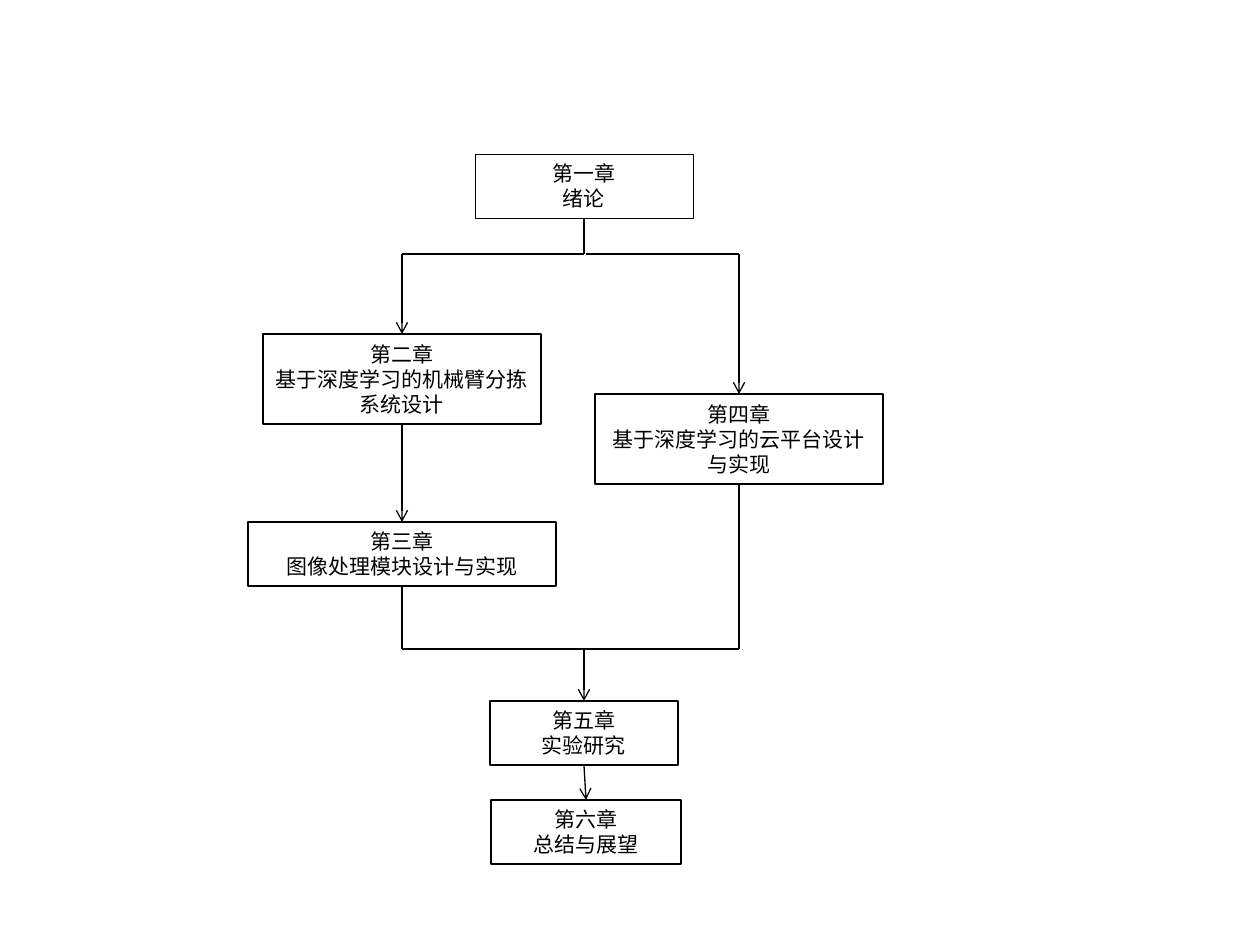
from lxml.etree import SubElement
from pptx import Presentation
from pptx.dml.color import RGBColor
from pptx.enum.shapes import MSO_CONNECTOR, MSO_SHAPE
from pptx.enum.text import MSO_ANCHOR, MSO_AUTO_SIZE, PP_ALIGN
from pptx.oxml.ns import qn
from pptx.util import Pt

EMU_PER_PX = 914400 / 126
BLACK = "000000"
LEFT, MIDDLE, RIGHT = 402, 584, 739  # centres of the columns
SPLIT, MERGE = 254, 649  # heights of the horizontal lines
LINE_HEIGHT, PADDING = 26, 12

# name: (heading, title, centre, top, width, text lines, border in points)
CHAPTERS = {
    "intro": ("第一章", "绪论", MIDDLE, 154, 218, 2, 0.25),
    "sorting": ("第二章", "基于深度学习的机械臂分拣系统设计", LEFT, 334, 278, 3, 0.75),
    "imaging": ("第三章", "图像处理模块设计与实现", LEFT, 522, 308, 2, 0.75),
    "cloud": ("第四章", "基于深度学习的云平台设计与实现", RIGHT, 394, 288, 3, 0.75),
    "experiment": ("第五章", "实验研究", MIDDLE, 701, 188, 2, 0.75),
    "summary": ("第六章", "总结与展望", MIDDLE + 2, 800, 190, 2, 0.75),
}


def px(value):
    return round(value * EMU_PER_PX)


def color(hex_value):
    return RGBColor.from_string(hex_value)


def top(name):
    return CHAPTERS[name][2], CHAPTERS[name][3]


def box_height(name):
    return CHAPTERS[name][5] * LINE_HEIGHT + PADDING


def bottom(name):
    center, box_top = top(name)
    return center, box_top + box_height(name)


def write(paragraph, text, size=12, font="Arial", hex_color=BLACK, align=PP_ALIGN.CENTER):
    paragraph.alignment = align
    run = paragraph.add_run()
    run.text = text
    run.font.size = Pt(size)
    run.font.name = font
    run.font.color.rgb = color(hex_color)


def add_box(slide, name):
    heading, title, center, box_top, width, _, border = CHAPTERS[name]
    shape = slide.shapes.add_shape(
        MSO_SHAPE.RECTANGLE,
        px(center - width / 2), px(box_top), px(width), px(box_height(name)))
    shape.shadow.inherit = False
    shape.fill.background()
    shape.line.color.rgb = color(BLACK)
    shape.line.width = Pt(border)
    frame = shape.text_frame
    frame.word_wrap = True
    frame.auto_size = MSO_AUTO_SIZE.SHAPE_TO_FIT_TEXT
    frame.vertical_anchor = MSO_ANCHOR.MIDDLE
    write(frame.paragraphs[0], heading)
    write(frame.add_paragraph(), title)


def add_line(slide, start, end, width=0.75, arrow=False):
    connector = slide.shapes.add_connector(
        MSO_CONNECTOR.STRAIGHT, *map(px, start + end))
    connector.line.color.rgb = color(BLACK)
    connector.line.width = Pt(width)
    if arrow:
        SubElement(connector.line._get_or_add_ln(), qn("a:tailEnd"), type="arrow")
    SubElement(connector._element.spPr, qn("a:effectLst"))


def main():
    presentation = Presentation()
    presentation.slide_width, presentation.slide_height = px(1260), px(945)
    slide = presentation.slides.add_slide(presentation.slide_layouts[6])

    for name in CHAPTERS:
        add_box(slide, name)

    add_line(slide, bottom("intro"), (MIDDLE, SPLIT), width=1)
    add_line(slide, (MIDDLE + 2, SPLIT), (RIGHT, SPLIT), width=1)
    add_line(slide, (MIDDLE, SPLIT), (LEFT, SPLIT))
    add_line(slide, bottom("imaging"), (LEFT, MERGE))
    add_line(slide, bottom("cloud"), (RIGHT, MERGE))
    add_line(slide, (LEFT, MERGE), (RIGHT, MERGE))

    arrows = [
        ((LEFT, SPLIT), top("sorting")),
        ((RIGHT, SPLIT), top("cloud")),
        (bottom("sorting"), top("imaging")),
        ((MIDDLE, MERGE), top("experiment")),
        (bottom("experiment"), top("summary")),
    ]
    for start, end in arrows:
        add_line(slide, start, end, arrow=True)

    presentation.save("out.pptx")


if __name__ == "__main__":
    main()
